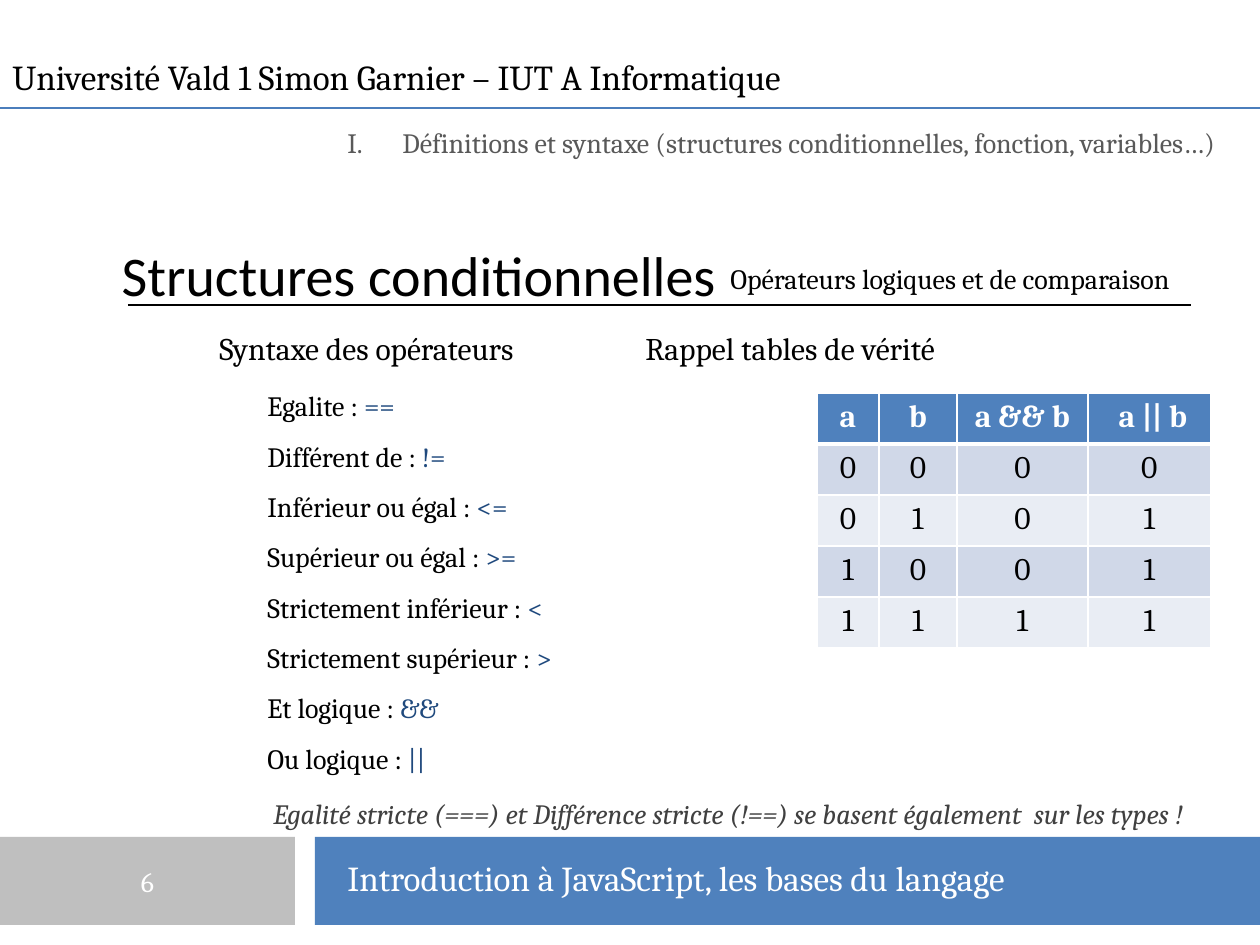
from dataclasses import dataclass
from lxml import etree
from pptx import Presentation
from pptx.dml.color import RGBColor
from pptx.enum.shapes import MSO_CONNECTOR, MSO_SHAPE
from pptx.enum.text import MSO_ANCHOR, PP_ALIGN
from pptx.oxml.ns import qn
from pptx.util import Pt

LEFT, CENTER = PP_ALIGN.LEFT, PP_ALIGN.CENTER
TOP, MIDDLE = MSO_ANCHOR.TOP, MSO_ANCHOR.MIDDLE
RECT, STRAIGHT = MSO_SHAPE.RECTANGLE, MSO_CONNECTOR.STRAIGHT
SCALE = 914400 // 126


@dataclass(frozen=True)
class Theme:
    """Colours, fonts and type sizes of the slide."""
    black: str = "000000"
    white: str = "FFFFFF"
    blue: str = "4F81BD"
    rule: str = "4B7EBC"
    navy: str = "1F497D"
    gray: str = "BFBFBF"
    soft: str = "595959"
    dark: str = "404040"
    bands: tuple = ("D0D8E8", "E9EDF4")
    serif: str = "Cambria"
    sans: str = "Calibri"
    title: int = 32
    head: int = 20
    sub: int = 18
    body: int = 16


def px(n):
    """Turn pixels into EMU."""
    return n * SCALE


def put(target, values):
    """Set attributes from a dict of format values."""
    for name, value in values.items():
        setattr(target, name, value)


class Deck:
    """Draws styled elements on the current slide."""

    def __init__(self, theme, width, height):
        """Open a deck with one blank slide."""
        self.theme = theme
        self.prs = Presentation()
        put(self.prs, {"slide_width": px(width), "slide_height": px(height)})
        self.slide = self.prs.slides.add_slide(self.prs.slide_layouts[6])
        self.shapes = self.slide.shapes

    def para(self, para, runs, size, font=None, align=LEFT, gap=None,
             before=0, indent=0, hang=0, number=None, **style):
        """Fill a paragraph with (text, colour) runs."""
        put(para, {"alignment": align, "line_spacing": gap,
                   "space_before": Pt(before)})
        props = para._p.get_or_add_pPr()
        props.set("marL", str(px(indent)))
        props.set("indent", str(px(-hang)))
        if number:
            etree.SubElement(props, qn("a:buAutoNum"), type=number)
        for text, color in runs:
            run = para.add_run()
            run.text = text
            put(run.font, {"size": Pt(size), "name": font or self.theme.serif,
                           **style})
            run.font.color.rgb = RGBColor.from_string(color)

    def text(self, box, paras, anchor=TOP):
        """Add a text box holding paragraph dicts."""
        frame = self.shapes.add_textbox(*map(px, box)).text_frame
        put(frame, {"word_wrap": True, "vertical_anchor": anchor})
        for i, item in enumerate(paras):
            self.para(frame.add_paragraph() if i else frame.paragraphs[0], **item)

    def rect(self, box, color):
        """Add a plain filled rectangle."""
        shape = self.shapes.add_shape(RECT, *map(px, box))
        shape.shadow.inherit = False
        shape.fill.solid()
        shape.fill.fore_color.rgb = RGBColor.from_string(color)
        shape.line.fill.background()
        return shape

    def line(self, left, right, y, color):
        """Add a thin horizontal rule."""
        line = self.shapes.add_connector(STRAIGHT, *map(px, (left, y, right, y)))
        line.line.width = Pt(0.75)
        line.line.color.rgb = RGBColor.from_string(color)
        etree.SubElement(line._element.spPr, qn("a:effectLst"))

    def edge(self, cell, side, width):
        """Draw one white cell border."""
        line = etree.Element(qn("a:" + side), w=str(Pt(width)))
        fill = etree.SubElement(line, qn("a:solidFill"))
        etree.SubElement(fill, qn("a:srgbClr"), val=self.theme.white)
        cell._tc.get_or_add_tcPr().append(line)

    def table(self, left, top, widths, height, rows):
        """Add a banded table with a bold head row."""
        look = self.theme
        box = (left, top, sum(widths), height * len(rows))
        table = self.shapes.add_table(len(rows), len(widths), *map(px, box)).table
        for col, width in zip(table.columns, widths):
            col.width = px(width)
        for r, row in enumerate(rows):
            table.rows[r].height = px(height)
            for c, word in enumerate(row):
                cell = table.cell(r, c)
                for side in ("lnL", "lnR", "lnT", "lnB"):
                    thick = (r, side) in ((0, "lnB"), (1, "lnT"))
                    self.edge(cell, side, 3 if thick else 1)
                cell.fill.solid()
                cell.fill.fore_color.rgb = RGBColor.from_string(
                    look.bands[(r - 1) % 2] if r else look.blue)
                ink = look.black if r else look.white
                self.para(cell.text_frame.paragraphs[0], [(word, ink)],
                          look.sub, align=CENTER, bold=not r)


look = Theme()
deck = Deck(look, 1260, 945)

deck.text((-29, 214, 896, 120), [dict(
    runs=[("Structures conditionnelles", look.black)], size=look.title,
    font=look.sans, align=CENTER)], MIDDLE)

page = deck.rect((0, 837, 295, 88), look.gray).text_frame
page.vertical_anchor = MIDDLE
deck.para(page.paragraphs[0], [("6", look.white)], look.body, align=CENTER)
deck.rect((315, 837, 945, 88), look.blue)
deck.text((335, 850, 925, 56), [dict(
    runs=[("Introduction à JavaScript, les bases du langage", look.white)],
    size=look.head)])

deck.line(128, 1191, 305, look.black)
signs = [("Egalite", "=="), ("Différent de", "!="), ("Inférieur ou égal", "<="),
         ("Supérieur ou égal", ">="), ("Strictement inférieur", "<"),
         ("Strictement supérieur", ">"), ("Et logique", "&&"),
         ("Ou logique", "||")]
heads = "Syntaxe des opérateurs\t\t\tRappel tables de vérité"
note = ("Egalité stricte (===) et Différence stricte (!==) "
        "se basent également  sur les types !")
deck.text((207, 304, 1024, 599), [
    dict(runs=[(heads, look.black)], size=look.sub, gap=1.5, indent=48, hang=48),
    *(dict(runs=[(name + " : ", look.black), (sign, look.navy)], size=look.body,
           gap=1.5, indent=48, before=0 if i else 3)
      for i, (name, sign) in enumerate(signs)),
    dict(runs=[(note, look.dark)], size=look.body, gap=1.5, indent=54, before=3,
         italic=True)])

deck.text((718, 255, 542, 47), [dict(
    runs=[("Opérateurs logiques et de comparaison", look.black)],
    size=look.body)])
truth = [(str(a), str(b), str(a & b), str(a | b)) for a in (0, 1) for b in (0, 1)]
deck.table(817, 393, (62, 78, 131, 123), 51,
           [("a", "b", "a && b", " a || b"), *truth])

deck.text((0, 49, 886, 56), [dict(
    runs=[("Université Vald 1 Simon Garnier – IUT A Informatique", look.black)],
    size=look.head)])
deck.line(0, 1260, 108, look.rule)
topic = "Définitions et syntaxe (structures conditionnelles, fonction, variables…)"
deck.text((335, 103, 925, 63), [dict(
    runs=[(topic, look.soft)], size=look.body, gap=1.5, indent=55, hang=55,
    number="romanUcPeriod")])

deck.prs.save("out.pptx")
